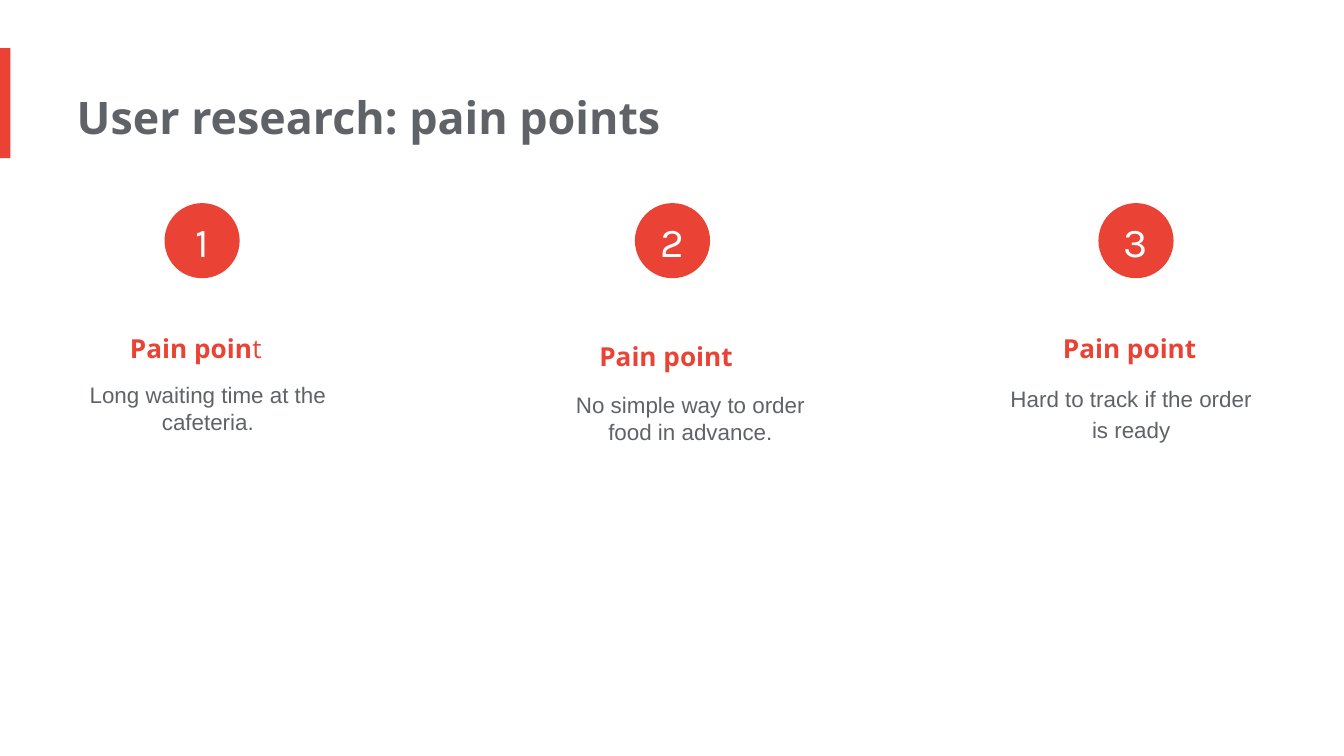
from pptx import Presentation
from pptx.dml.color import RGBColor
from pptx.enum import shapes, text
from pptx.util import Cm, Pt

COLORS = {"red": "EA4335", "grey": "5F6368", "white": "FFFFFF"}
FORMATS = {
    "title": {"name": "Open Sans", "size": Pt(24), "bold": True, "color": "grey"},
    "heading": {"name": "Open Sans", "size": Pt(14), "bold": True, "color": "red"},
    "body": {"name": "Arial", "size": Pt(12), "bold": False, "color": "grey"},
    "number": {"name": "Karla", "size": Pt(22), "bold": False, "color": "white"},
}
FRAME = {
    "margin_left": 0, "margin_top": Cm(0.25), "margin_right": Cm(0.25),
    "margin_bottom": Cm(0.25), "word_wrap": True,
    "vertical_anchor": text.MSO_ANCHOR.TOP,
    "auto_size": text.MSO_AUTO_SIZE.SHAPE_TO_FIT_TEXT,
}
BADGE_FRAME = {
    "margin_left": 0, "margin_top": 0, "margin_right": 0, "margin_bottom": 0,
    "word_wrap": True, "vertical_anchor": text.MSO_ANCHOR.MIDDLE,
}


def write(holder, wording, style, frame=FRAME, align=text.PP_ALIGN.CENTER, spacing=1.0):
    """Put one formatted paragraph into a shape and return its run."""
    for key, value in frame.items():
        setattr(holder.text_frame, key, value)
    paragraph = holder.text_frame.paragraphs[0]
    paragraph.alignment = align
    paragraph.line_spacing = spacing
    run = paragraph.add_run()
    run.text = wording
    for key, value in FORMATS[style].items():
        if key == "color":
            run.font.color.rgb = RGBColor.from_string(COLORS[value])
        else:
            setattr(run.font, key, value)
    return run


def add_red(kind, left, top, width, height):
    shape = slide.shapes.add_shape(kind, Cm(left), Cm(top), Cm(width), Cm(height))
    shape.shadow.inherit = False
    shape.fill.solid()
    shape.fill.fore_color.rgb = RGBColor.from_string(COLORS["red"])
    shape.line.fill.background()
    return shape


prs = Presentation()
prs.slide_width, prs.slide_height = Cm(25.4), Cm(14.29)
slide = prs.slides.add_slide(prs.slide_layouts[5])

add_red(shapes.MSO_SHAPE.RECTANGLE, 0, 0.91, 0.2, 2.08)

title = slide.shapes.title
title.left, title.top, title.width, title.height = Cm(1.45), Cm(1.45), Cm(17.09), Cm(1.55)
write(title, "User research: pain points", "title", align=text.PP_ALIGN.LEFT)

# heading (bold, regular), heading left and top, body, body left, top and height, spacing
pain_points = [
    (("Pain poin", "t"), 1.22, 5.74,
     "Long waiting time at the cafeteria.", 1.45, 6.96, 2.13, 1.0),
    (("Pain point", ""), 10.11, 5.89,
     "No simple way to order food in advance.", 10.57, 7.14, 2.13, 1.0),
    (("Pain point", ""), 18.87, 5.74,
     "Hard to track if the order is ready", 18.9, 6.96, 1.7, 1.15),
]
COLUMN_WIDTH, BADGE_SIZE, BADGE_OFFSET = 5.21, 1.42, 1.89

for number, point in enumerate(pain_points, start=1):
    (bold, regular), left, top, body, body_left, body_top, body_height, spacing = point

    heading = slide.shapes.add_textbox(Cm(left), Cm(top), Cm(COLUMN_WIDTH), Cm(1.42))
    write(heading, bold, "heading", spacing=1.5)
    if regular:
        write(heading, regular, "heading", spacing=1.5).font.bold = False

    description = slide.shapes.add_textbox(
        Cm(body_left), Cm(body_top), Cm(COLUMN_WIDTH), Cm(body_height))
    write(description, body, "body", spacing=spacing)

    badge = add_red(shapes.MSO_SHAPE.OVAL, left + BADGE_OFFSET, 3.84, BADGE_SIZE, BADGE_SIZE)
    write(badge, str(number), "number", frame=BADGE_FRAME)

prs.save("out.pptx")
